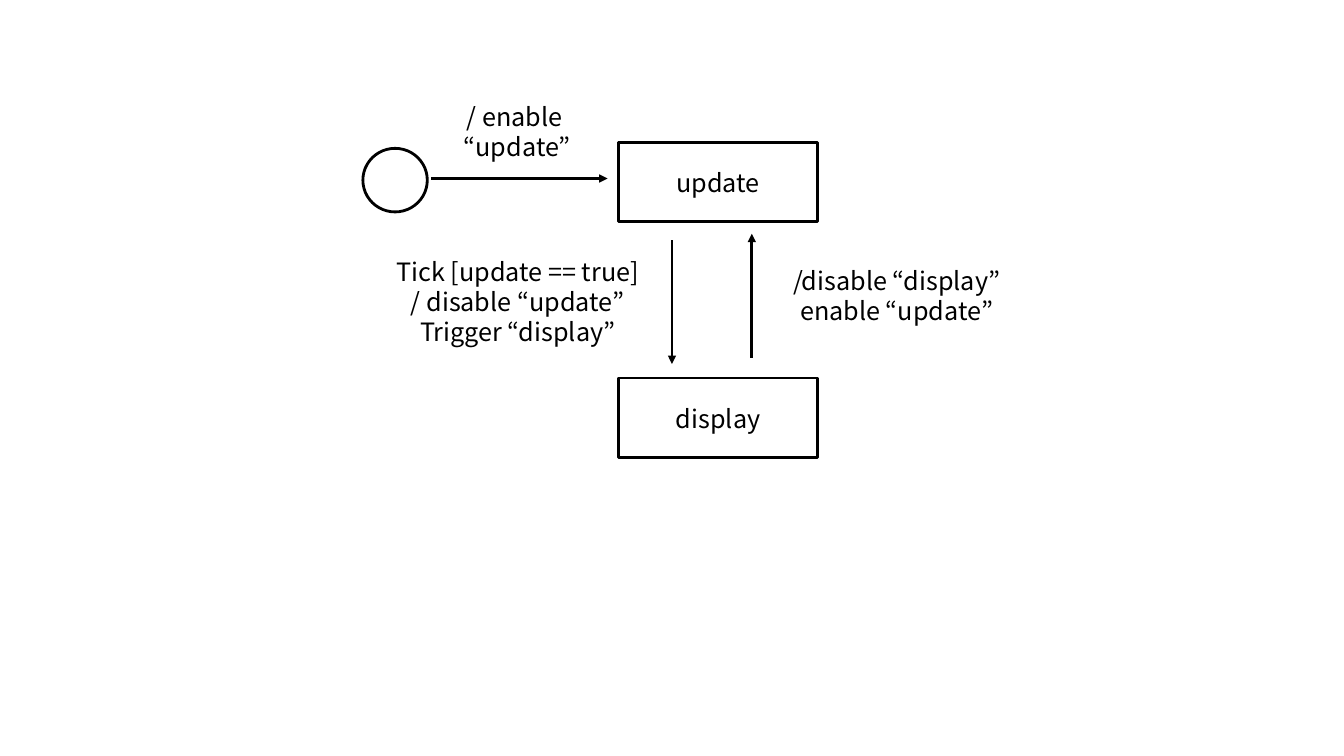
import pptx
import pptx.util
import pptx.dml.color
import pptx.enum.shapes
import pptx.enum.text
import pptx.oxml
import pptx.oxml.ns

Pt = pptx.util.Pt
FONT = "Noto Sans CJK KR"
BLACK, WHITE = "000000", "FFFFFF"


def paint(target, colour):
    """Give a fill or line fill a solid colour."""
    target.solid()
    target.fore_color.rgb = pptx.dml.color.RGBColor.from_string(colour)


def write(shape, text, size=18, colour=BLACK, anchor="TOP"):
    """Write centred text, one paragraph for each line."""
    frame = shape.text_frame
    frame.word_wrap = True
    frame.vertical_anchor = getattr(pptx.enum.text.MSO_ANCHOR, anchor)
    frame.text = text
    for paragraph in frame.paragraphs:
        paragraph.alignment = pptx.enum.text.PP_ALIGN.CENTER
        paragraph.font.size = Pt(size)
        for run in paragraph.runs:
            run.font.name = FONT
            run.font.size = Pt(size)
            paint(run.font.fill, colour)


def add_node(slide, kind, left, top, width, height, fill=None):
    """Add an outlined state node."""
    node = slide.shapes.add_shape(getattr(pptx.enum.shapes.MSO_SHAPE, kind),
                                  Pt(left), Pt(top), Pt(width), Pt(height))
    node.shadow.inherit = False
    if fill:
        paint(node.fill, fill)
    else:
        node.fill.background()
    paint(node.line.fill, BLACK)
    node.line.width = Pt(2)
    return node


def add_transition(slide, x1, y1, x2, y2):
    """Add an arrow from the first point to the second."""
    arrow = slide.shapes.add_connector(pptx.enum.shapes.MSO_CONNECTOR.STRAIGHT,
                                       Pt(x1), Pt(y1), Pt(x2), Pt(y2))
    paint(arrow.line.fill, BLACK)
    arrow.line.width = Pt(2)
    namespace = pptx.oxml.ns.nsdecls("a")
    head = pptx.oxml.parse_xml(f'<a:tailEnd {namespace} type="triangle"/>')
    arrow.line._get_or_add_ln().append(head)
    arrow._element.spPr.append(pptx.oxml.parse_xml(f"<a:effectLst {namespace}/>"))


def add_label(slide, text, left, top, width, height):
    """Add the text that describes a transition."""
    label = slide.shapes.add_textbox(Pt(left), Pt(top), Pt(width), Pt(height))
    write(label, text)


def draw_state_diagram(slide, left, top):
    """Draw the update and display states from the given corner."""
    for name, offset in (("update", 33.5), ("display", 202)):
        state = add_node(slide, "RECTANGLE", left + 194, top + offset, 142, 57)
        write(state, name, anchor="MIDDLE")
    add_node(slide, "OVAL", left + 11.2, top + 38, 46, 45.4, fill=WHITE)

    for x1, y1, x2, y2 in ((60, 59.5, 186, 59.5),
                           (232, 103.5, 232, 192),
                           (289, 187.5, 289, 99)):
        add_transition(slide, left + x1, top + y1, left + x2, top + y2)

    for text, x, y, width, height in (
            ("/ enable \n“update”", 48.5, 0.5, 146, 51),
            ("/disable “display”\nenable “update”", 304, 118, 177, 51),
            ("Tick [update == true]\n/ disable “update”\nTrigger “display”",
             0.5, 111.3, 242.5, 73)):
        add_label(slide, text, left + x, top + y, width, height)


deck = pptx.Presentation()
deck.slide_width, deck.slide_height = Pt(960), Pt(540)
state_slide = deck.slides.add_slide(deck.slide_layouts[6])
draw_state_diagram(state_slide, 248, 68)
deck.save("out.pptx")
